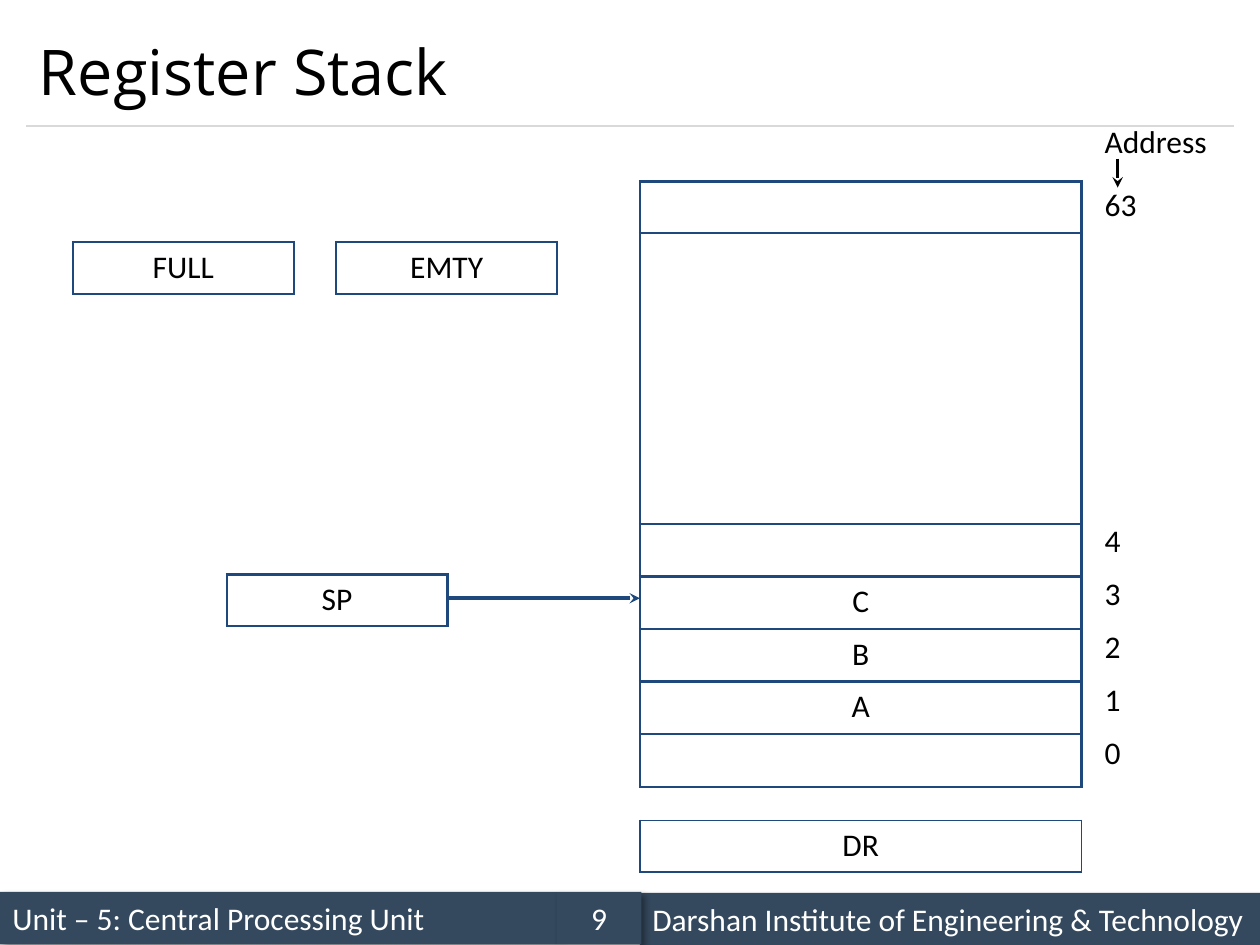
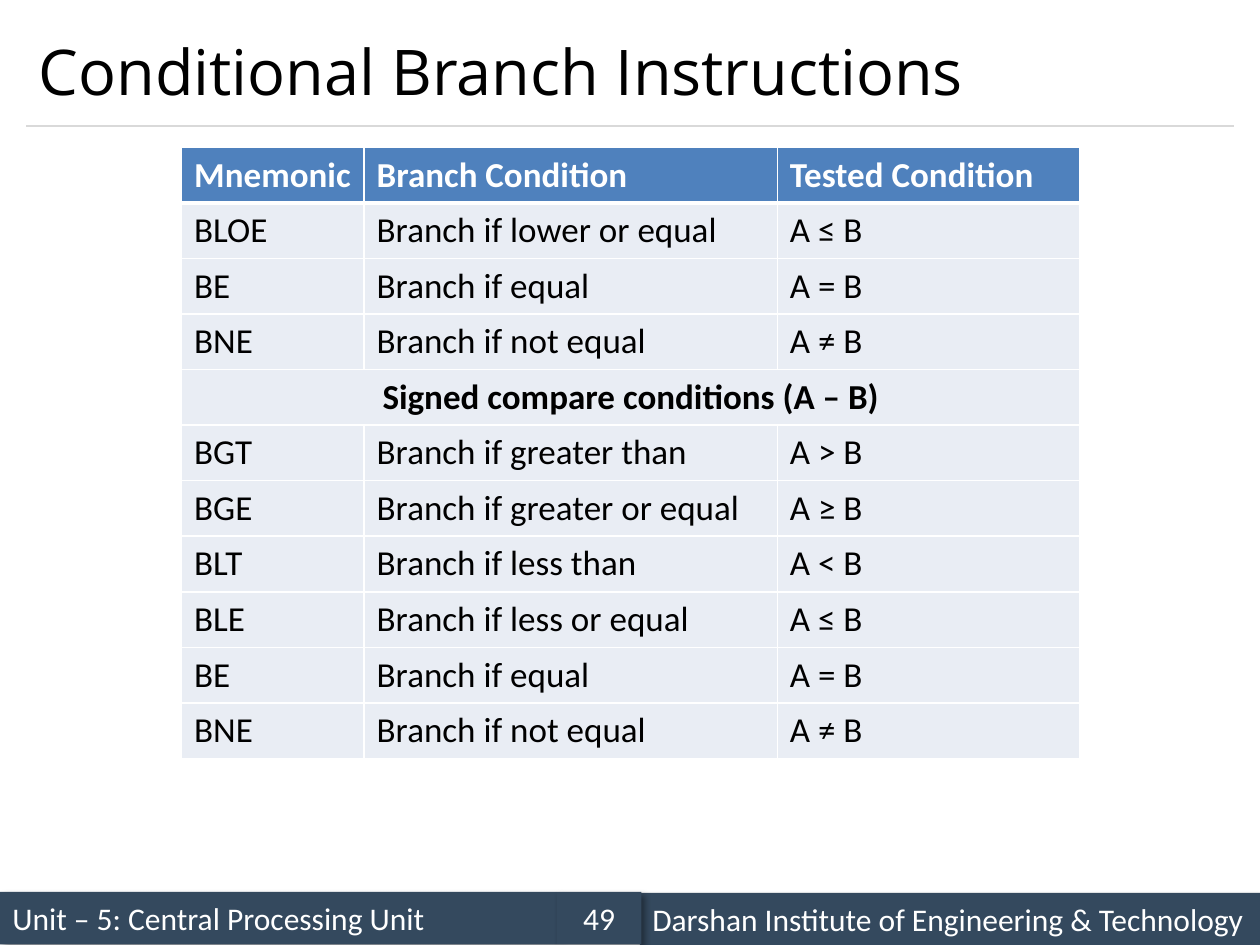
from lxml import etree
from pptx import Presentation
from pptx import util as u
from pptx.dml.color import RGBColor
from pptx.enum import shapes, text
from pptx.oxml import ns

COLORS = {
    "ink": "000000",
    "paper": "FFFFFF",
    "band": "34495E",
    "rule": "D9D9D9",
    "register": "1F497D",
    "header": "4F81BD",
    "row": "E9EDF4",
}
BODY_FONT = "Calibri"
TITLE_FONT = "Open Sans"
UNIT = "Unit – 5: Central Processing Unit"
INSTITUTE = "Darshan Institute of Engineering & Technology"
ROW_HEIGHT = 1.04
STACK_LEFT, STACK_WIDTH = 12.9, 8.9
ADDRESS_LEFT = 22.02
BRANCHES = [
    ["Mnemonic", "Branch Condition", "Tested Condition"],
    ["BLOE", "Branch if lower or equal", "A ≤ B"],
    ["BE", "Branch if equal", "A = B"],
    ["BNE", "Branch if not equal", "A ≠ B"],
    ["Signed compare conditions (A – B)"],
    ["BGT", "Branch if greater than", "A > B"],
    ["BGE", "Branch if greater or equal", "A ≥ B"],
    ["BLT", "Branch if less than", "A < B"],
    ["BLE", "Branch if less or equal", "A ≤ B"],
    ["BE", "Branch if equal", "A = B"],
    ["BNE", "Branch if not equal", "A ≠ B"],
]


def color(name):
    return RGBColor.from_string(COLORS[name])


def child(parent, tag, **attributes):
    values = {key: str(value) for key, value in attributes.items()}
    return etree.SubElement(parent, ns.qn(tag), values)


def write(frame, words, size=18, ink="ink", bold=False, align=text.PP_ALIGN.LEFT, font=BODY_FONT):
    para = frame.paragraphs[0]
    para.text = words
    para.alignment = align
    para.font.name = font
    para.font.size = u.Pt(size)
    para.font.bold = bold
    para.font.color.rgb = color(ink)


def add_line(page, start, end, ink, width, arrow=False):
    line = page.shapes.add_connector(
        shapes.MSO_CONNECTOR.STRAIGHT, *(u.Cm(value) for value in start + end)
    )
    line.line.color.rgb = color(ink)
    line.line.width = u.Pt(width)
    if arrow:
        child(line.line._get_or_add_ln(), "a:tailEnd", type="stealth")
    child(line._element.spPr, "a:effectLst")


def add_band(page, left, top, width, words, align=text.PP_ALIGN.LEFT):
    band = page.shapes.add_shape(
        shapes.MSO_SHAPE.RECTANGLE, u.Cm(left), u.Cm(top), u.Cm(width), u.Cm(1.06)
    )
    band.fill.solid()
    band.fill.fore_color.rgb = color("band")
    band.line.fill.background()
    effects = child(band._element.spPr, "a:effectLst")
    shadow = child(effects, "a:outerShdw", blurRad=u.Pt(4), dist=u.Pt(3),
                   dir=45 * 60000, algn="tl", rotWithShape=0)
    child(child(shadow, "a:srgbClr", val=COLORS["ink"]), "a:alpha", val=40000)
    band.text_frame.word_wrap = True
    band.text_frame.vertical_anchor = text.MSO_ANCHOR.MIDDLE
    write(band.text_frame, words, ink="paper", align=align)


def add_page(deck, title, number):
    page = deck.slides.add_slide(deck.slide_layouts.get_by_name("Title Only"))
    add_band(page, 0, 17.98, 11.23, UNIT)
    add_line(page, (0.53, 2.54), (24.87, 2.54), "rule", 0.75)
    add_band(page, 12.9, 18, 12.5, INSTITUTE)
    add_band(page, 11.23, 17.98, 1.7, str(number), text.PP_ALIGN.CENTER)
    heading = page.shapes.title
    heading.left, heading.top = u.Cm(0.53), u.Cm(0.3)
    heading.width, heading.height = u.Cm(24.34), u.Cm(2.24)
    heading.text_frame.vertical_anchor = text.MSO_ANCHOR.MIDDLE
    write(heading.text_frame, title, size=36, font=TITLE_FONT)
    return page


def add_grid(page, left, top, widths, heights):
    frame = page.shapes.add_table(
        len(heights), len(widths), u.Cm(left), u.Cm(top),
        u.Cm(sum(widths)), u.Cm(sum(heights))
    )
    grid = frame.table
    grid.first_row = grid.horz_banding = False
    for column, width in zip(grid.columns, widths):
        column.width = u.Cm(width)
    for row, height in zip(grid.rows, heights):
        row.height = u.Cm(height)
    return grid


def style_cell(cell, border, width, fill=None, top=None, bottom=None):
    properties = cell._tc.get_or_add_tcPr()
    edges = {"L": width, "R": width, "T": top or width, "B": bottom or width}
    for side, points in edges.items():
        edge = child(properties, f"a:ln{side}", w=u.Pt(points))
        child(child(edge, "a:solidFill"), "a:srgbClr", val=COLORS[border])
    if fill:
        cell.fill.solid()
        cell.fill.fore_color.rgb = color(fill)
    else:
        cell.fill.background()


def add_register(page, left, top, width, words, heights=(ROW_HEIGHT,), border=1.5):
    grid = add_grid(page, left, top, [width], heights)
    for cell, word in zip(grid.iter_cells(), words):
        style_cell(cell, "register", border)
        write(cell.text_frame, word, align=text.PP_ALIGN.CENTER)


def add_address(page, top, width, words):
    box = page.shapes.add_textbox(u.Cm(ADDRESS_LEFT), u.Cm(top), u.Cm(width), u.Cm(1.03))
    box.text_frame.word_wrap = False
    box.text_frame.auto_size = text.MSO_AUTO_SIZE.SHAPE_TO_FIT_TEXT
    write(box.text_frame, words)


def add_branch_table(page, left, top, widths, rows):
    grid = add_grid(page, left, top, widths, [1.12] * len(rows))
    grid.first_row = True
    for index, row in enumerate(rows):
        header, section = index == 0, len(row) == 1
        for column in range(len(widths)):
            style_cell(grid.cell(index, column), "paper", 1,
                       fill="header" if header else "row",
                       top=3 if index == 1 else 1, bottom=3 if header else 1)
        if section:
            grid.cell(index, 0).merge(grid.cell(index, len(widths) - 1))
        for column, words in enumerate(row):
            write(grid.cell(index, column).text_frame, words, size=20,
                  ink="paper" if header else "ink", bold=header or section,
                  align=text.PP_ALIGN.CENTER if section else text.PP_ALIGN.LEFT)


def build_register_stack(deck):
    page = add_page(deck, "Register Stack", 9)
    add_register(page, STACK_LEFT, 3.66, STACK_WIDTH, ["", "", "", "C", "B", "A", ""],
                 [ROW_HEIGHT, 5.86] + [1.06] * 5)
    add_register(page, STACK_LEFT, 16.54, STACK_WIDTH, ["DR"], border=1)
    for words, left, top in [("FULL", 1.47, 4.88), ("EMTY", 6.78, 4.88), ("SP", 4.57, 11.58)]:
        add_register(page, left, top, 4.45, [words])
    add_address(page, 2.34, 2.6, "Address")
    add_address(page, 3.61, 1.17, "63")
    for step, address in enumerate("43210"):
        add_address(page, 10.38 + 1.07 * step, 0.84, address)
    add_line(page, (22.53, 3.2), (22.53, 3.78), "ink", 2, arrow=True)
    add_line(page, (9.02, 12.06), (STACK_LEFT, 12.06), "register", 2, arrow=True)


def build_branch_instructions(deck):
    page = add_page(deck, "Conditional Branch Instructions", 49)
    add_branch_table(page, 3.66, 2.97, [3.68, 8.33, 6.1], BRANCHES)


def main():
    deck = Presentation()
    deck.slide_width, deck.slide_height = u.Cm(25.4), u.Cm(19.05)
    build_register_stack(deck)
    build_branch_instructions(deck)
    deck.save("out.pptx")


if __name__ == "__main__":
    main()
